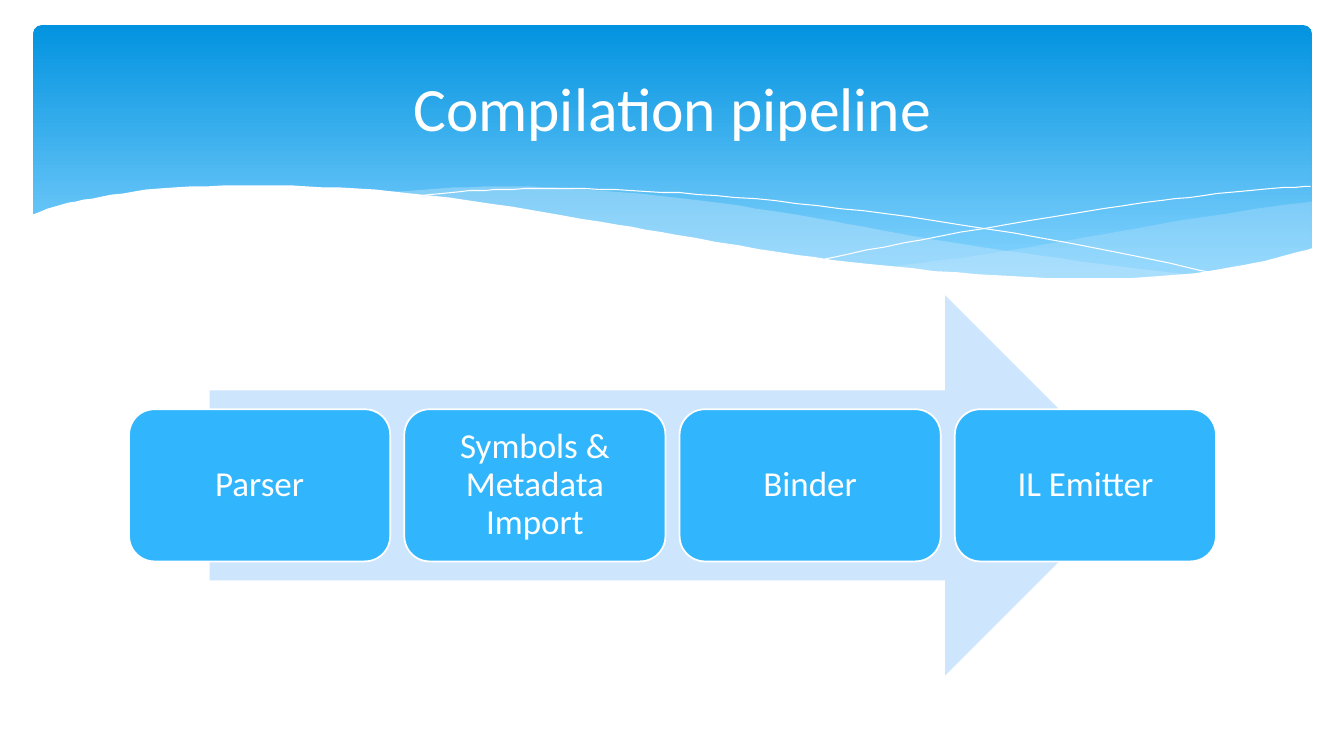
from pptx import Presentation
from pptx.dml.color import RGBColor
from pptx.enum.shapes import MSO_SHAPE
from pptx.enum.text import MSO_ANCHOR, PP_ALIGN
from pptx.oxml.ns import qn
from pptx.util import Pt
from lxml import etree

ROUNDED = MSO_SHAPE.ROUNDED_RECTANGLE
RIGHT_ARROW = MSO_SHAPE.RIGHT_ARROW
MIDDLE = MSO_ANCHOR.MIDDLE
CENTER = PP_ALIGN.CENTER

PX = 9144
FONT = "Calibri"
TITLE_ONLY = 5

WHITE = RGBColor(0xFF, 0xFF, 0xFF)
SKY_TOP = RGBColor(0x02, 0x93, 0xE0)
SKY_BOTTOM = RGBColor(0x83, 0xD3, 0xFE)
MIST = RGBColor(0xC6, 0xE7, 0xFC)
PALE_BLUE = RGBColor(0xCE, 0xE5, 0xFE)
STAGE_BLUE = RGBColor(0x31, 0xB6, 0xFD)

STAGES = ["Parser", "Symbols & Metadata Import", "Binder", "IL Emitter"]
STAGE_LEFT, STAGE_TOP = 128, 406
STAGE_WIDTH, STAGE_HEIGHT = 259, 151
STAGE_STEP = 273

RIGHT_MIST_TOP = [(1301, 200), (1246, 207), (1147, 223), (1038, 242),
                  (972, 253), (882, 265)]
RIGHT_MIST_BOTTOM = [(882, 265), (958, 272), (1025, 277), (1085, 278),
                     (1138, 276), (1196, 270), (1247, 262), (1301, 247)]
LEFT_MIST_TOP = [(1190, 273), (1116, 265), (1034, 254), (941, 240),
                 (839, 222), (778, 211), (703, 200), (619, 191),
                 (560, 187), (506, 185), (437, 187), (382, 191)]
LEFT_MIST_BOTTOM = [(382, 191), (456, 199), (539, 211), (599, 222),
                    (706, 240), (802, 255), (907, 268), (998, 276),
                    (1076, 278), (1143, 277), (1190, 273)]
FALLING_LINE = [(412, 195), (458, 190), (499, 188), (555, 187), (625, 189),
                (710, 194), (811, 204), (927, 219), (1060, 241), (1210, 272)]
RISING_LINE = [(818, 257), (896, 241), (997, 223), (1115, 204),
               (1194, 194), (1250, 188), (1300, 185)]
WAVE_EDGE = [(1302, 246), (1254, 259), (1198, 269), (1134, 275), (1058, 276),
             (969, 272), (863, 262), (772, 250), (671, 233), (596, 220),
             (486, 202), (390, 190), (306, 185), (235, 184), (158, 187),
             (101, 195), (61, 203), (31, 213)]
WAVE_BASE = [(31, 329), (1302, 329)]


def smooth(knots, steps=5):
    padded = [knots[0], *knots, knots[-1]]
    curve = [knots[0]]
    for a, b, c, d in zip(padded, padded[1:], padded[2:], padded[3:]):
        for step in range(1, steps + 1):
            t = step / steps
            curve.append(tuple(
                q + t / 2 * (r - p + t * (2 * p - 5 * q + 4 * r - s
                                          + t * (3 * q - p - 3 * r + s)))
                for p, q, r, s in zip(a, b, c, d)))
    return curve


def place(shape, left, top, width, height):
    shape.left, shape.top = left * PX, top * PX
    shape.width, shape.height = width * PX, height * PX


def write(frame, text, *, size, color=WHITE, spacing=1.0, inset=10):
    frame.word_wrap = True
    frame.vertical_anchor = MIDDLE
    frame.margin_left = frame.margin_right = inset * PX
    frame.margin_top = frame.margin_bottom = inset * PX
    paragraph = frame.paragraphs[0]
    paragraph.alignment = CENTER
    paragraph.line_spacing = spacing
    run = paragraph.add_run()
    run.text = text
    run.font.name = FONT
    run.font.size = Pt(size)
    run.font.color.rgb = color


def style(shape, fill=None, alpha=100, line=None, line_width=0):
    shape.shadow.inherit = False
    if fill is None:
        shape.fill.background()
    else:
        shape.fill.solid()
        shape.fill.fore_color.rgb = fill
        if alpha < 100:
            tint = shape.element.spPr.find(qn("a:solidFill"))[0]
            etree.SubElement(tint, qn("a:alpha")).set("val", str(alpha * 1000))
    if line is None:
        shape.line.fill.background()
    else:
        shape.line.color.rgb = line
        shape.line.width = Pt(line_width)


def add_box(slide, kind, left, top, width, height, **look):
    box = slide.shapes.add_shape(
        kind, left * PX, top * PX, width * PX, height * PX)
    style(box, **look)
    return box


def add_wave(slide, points, close=True, **look):
    builder = slide.shapes.build_freeform(*points[0], scale=PX)
    builder.add_line_segments(points[1:], close=close)
    style(builder.convert_to_shape(), **look)


def add_banner(slide):
    band = add_box(slide, ROUNDED, 33, 25, 1268, 270)
    band.adjustments[0] = 0.03
    band.fill.gradient()
    band.fill.gradient_angle = 270
    stops = zip(band.fill.gradient_stops, (SKY_TOP, SKY_BOTTOM), (0, 0.9))
    for stop, color, position in stops:
        stop.color.rgb = color
        stop.position = position
    add_wave(slide, smooth(RIGHT_MIST_TOP) + smooth(RIGHT_MIST_BOTTOM),
             fill=MIST, alpha=29)
    add_wave(slide, smooth(LEFT_MIST_TOP) + smooth(LEFT_MIST_BOTTOM),
             fill=MIST, alpha=40)
    for thread in (FALLING_LINE, RISING_LINE):
        add_wave(slide, smooth(thread), close=False, line=WHITE)
    add_wave(slide, smooth(WAVE_EDGE) + WAVE_BASE, fill=WHITE)


def add_title(slide, text):
    title = slide.shapes.title
    place(title, 67, 37, 1200, 137)
    write(title.text_frame, text, size=44)
    title.element.getparent().append(title.element)


def add_pipeline(slide):
    add_box(slide, RIGHT_ARROW, 208, 293, 918, 377, fill=PALE_BLUE)
    for index, name in enumerate(STAGES):
        stage = add_box(slide, ROUNDED, STAGE_LEFT + index * STAGE_STEP,
                        STAGE_TOP, STAGE_WIDTH, STAGE_HEIGHT,
                        fill=STAGE_BLUE, line=WHITE, line_width=1.25)
        write(stage.text_frame, name, size=25, spacing=0.9)


def main():
    deck = Presentation()
    deck.slide_width, deck.slide_height = 1333 * PX, 750 * PX
    slide = deck.slides.add_slide(deck.slide_layouts[TITLE_ONLY])
    add_banner(slide)
    add_pipeline(slide)
    add_title(slide, "Compilation pipeline")
    deck.save("out.pptx")


if __name__ == "__main__":
    main()
